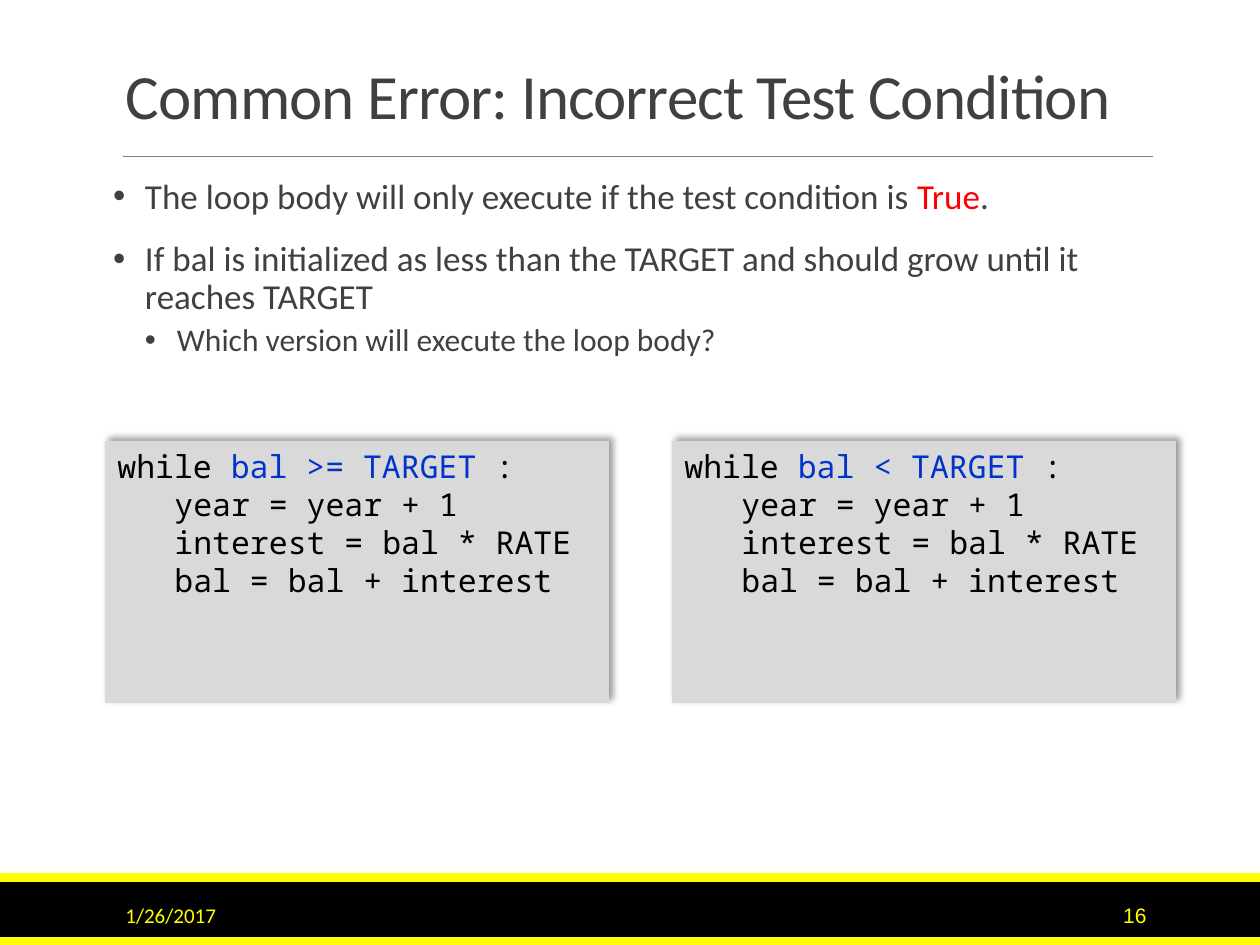
from lxml import etree
from pptx import Presentation
from pptx.dml.color import RGBColor
from pptx.enum.shapes import MSO_CONNECTOR, MSO_SHAPE
from pptx.enum.text import MSO_ANCHOR, MSO_AUTO_SIZE, PP_ALIGN
from pptx.oxml.ns import qn
from pptx.util import Emu, Pt

RECT = MSO_SHAPE.RECTANGLE
STRAIGHT = MSO_CONNECTOR.STRAIGHT
TOP, MIDDLE, BOTTOM = MSO_ANCHOR.TOP, MSO_ANCHOR.MIDDLE, MSO_ANCHOR.BOTTOM
LEFT, RIGHT = PP_ALIGN.LEFT, PP_ALIGN.RIGHT
NO_FIT = MSO_AUTO_SIZE.NONE

BLACK = RGBColor(0x00, 0x00, 0x00)
YELLOW = RGBColor(0xFF, 0xFF, 0x00)
GRAY = RGBColor(0x80, 0x80, 0x80)
DARK = RGBColor(0x40, 0x40, 0x40)
PANEL = RGBColor(0xD9, 0xD9, 0xD9)
RED = RGBColor(0xFF, 0x00, 0x00)
BLUE = RGBColor(0x00, 0x33, 0xCC)

SANS, MONO, NUMBER = "Calibri", "Noto Sans Mono", "Arial"
PX_PER_INCH = 126


def px(n):
    return Emu(round(n * 914400 / PX_PER_INCH))


class SlideBuilder:
    def __init__(self, prs):
        self.slide = prs.slides.add_slide(prs.slide_layouts[5])

    def style(self, r, size, font, color):
        r.font.size = Pt(size)
        r.font.name = font
        r.font.color.rgb = color

    def runs(self, p, parts, size, font):
        for text, color in parts:
            r = p.add_run()
            r.text = text
            self.style(r, size, font, color)

    def indent(self, p, left, first):
        pPr = p._p.get_or_add_pPr()
        pPr.set("marL", str(px(left)))
        pPr.set("indent", str(px(first)))
        return pPr

    def paragraphs(self, tf, count):
        return [tf.paragraphs[0]] + [tf.add_paragraph() for _ in range(count - 1)]

    def place(self, sp, x, y, w, h):
        sp.left, sp.top, sp.width, sp.height = px(x), px(y), px(w), px(h)

    def title(self, text, x, y, w, h):
        sp = self.slide.shapes.title
        self.place(sp, x, y, w, h)
        tf = sp.text_frame
        tf.text = text
        tf.word_wrap = True
        tf.auto_size = NO_FIT
        tf.vertical_anchor = BOTTOM
        p = tf.paragraphs[0]
        p.alignment = LEFT
        p.line_spacing = 0.85
        r = p.runs[0]
        self.style(r, 36, SANS, DARK)
        r.font._element.set("spc", "-50")

    def rect(self, x, y, w, h, color):
        sp = self.slide.shapes.add_shape(RECT, px(x), px(y), px(w), px(h))
        sp.shadow.inherit = False
        sp.fill.solid()
        sp.fill.fore_color.rgb = color
        sp.line.fill.background()
        return sp

    def rule(self, x1, x2, y):
        line = self.slide.shapes.add_connector(STRAIGHT, px(x1), px(y), px(x2), px(y))
        line.line.color.rgb = GRAY
        line.line.width = Pt(0.5)
        etree.SubElement(line._element.spPr, qn("a:effectLst"))

    def text_box(self, x, y, w, h, anchor):
        sp = self.slide.shapes.add_textbox(px(x), px(y), px(w), px(h))
        tf = sp.text_frame
        tf.word_wrap = True
        tf.vertical_anchor = anchor
        return tf

    def bullets(self, items, x, y, w, h):
        tf = self.text_box(x, y, w, h, TOP)
        tf.margin_left = tf.margin_right = 0
        for p, (level, parts) in zip(self.paragraphs(tf, len(items)), items):
            size, before, after = ((20, 12, 2), (18, 2, 4))[level]
            p.level = level
            p.line_spacing = 0.9
            p.space_before = Pt(before)
            p.space_after = Pt(after)
            pPr = self.indent(p, 32 * (level + 1), -32)
            etree.SubElement(pPr, qn("a:buFont"), typeface=NUMBER)
            etree.SubElement(pPr, qn("a:buChar"), char="•")
            self.runs(p, parts, size, SANS)

    def cast_shadow(self, sp):
        effects = sp._element.spPr.find(qn("a:effectLst"))
        shadow = etree.SubElement(
            effects, qn("a:outerShdw"), blurRad=str(Pt(4)), dist=str(Pt(3)),
            dir=str(315 * 60000), algn="bl", rotWithShape="0")
        color = etree.SubElement(shadow, qn("a:srgbClr"), val=str(BLACK))
        etree.SubElement(color, qn("a:alpha"), val="40000")

    def code(self, condition, body, x, y, w, h):
        sp = self.rect(x, y, w, h, PANEL)
        self.cast_shadow(sp)
        tf = sp.text_frame
        tf.word_wrap = True
        tf.vertical_anchor = TOP
        head = [("while ", BLACK), (condition + " ", BLUE), (":", BLACK)]
        lines = [head] + [[(text, BLACK)] for text in body]
        for i, p in enumerate(self.paragraphs(tf, len(lines))):
            p.alignment = LEFT
            self.indent(p, 57 if i else 0, 0)
            self.runs(p, lines[i], 18, MONO)

    def footer(self, text, x, w, font, align):
        tf = self.text_box(x, 890, w, 50, MIDDLE)
        tf.text = text
        p = tf.paragraphs[0]
        p.alignment = align
        self.style(p.runs[0], 12, font, YELLOW)


def main():
    prs = Presentation()
    prs.slide_width, prs.slide_height = px(1260), px(945)
    s = SlideBuilder(prs)

    s.rect(0, 882, 1260, 63, BLACK)
    for y in (873, 937):
        s.rect(0, y, 1260, 9, YELLOW)
    s.rule(123, 1153, 156)

    s.title("Common Error: Incorrect Test Condition", 113, 39, 1040, 100)
    s.bullets([
        (0, [("The loop body will only execute if the test condition is ", DARK),
             ("True", RED), (".", DARK)]),
        (0, [("If bal is initialized as less than the TARGET and should grow "
              "until it reaches TARGET", DARK)]),
        (1, [("Which version will execute the loop body?", DARK)]),
    ], 113, 173, 1040, 268)

    body = ["year = year + 1", "interest = bal * RATE", "bal = bal + interest"]
    for x, condition in ((672, "bal < TARGET"), (105, "bal >= TARGET")):
        s.code(condition, body, x, 441, 504, 262)

    s.footer("16", 1023, 136, NUMBER, RIGHT)
    s.footer("1/26/2017", 113, 256, SANS, LEFT)
    prs.save("out.pptx")


if __name__ == "__main__":
    main()
